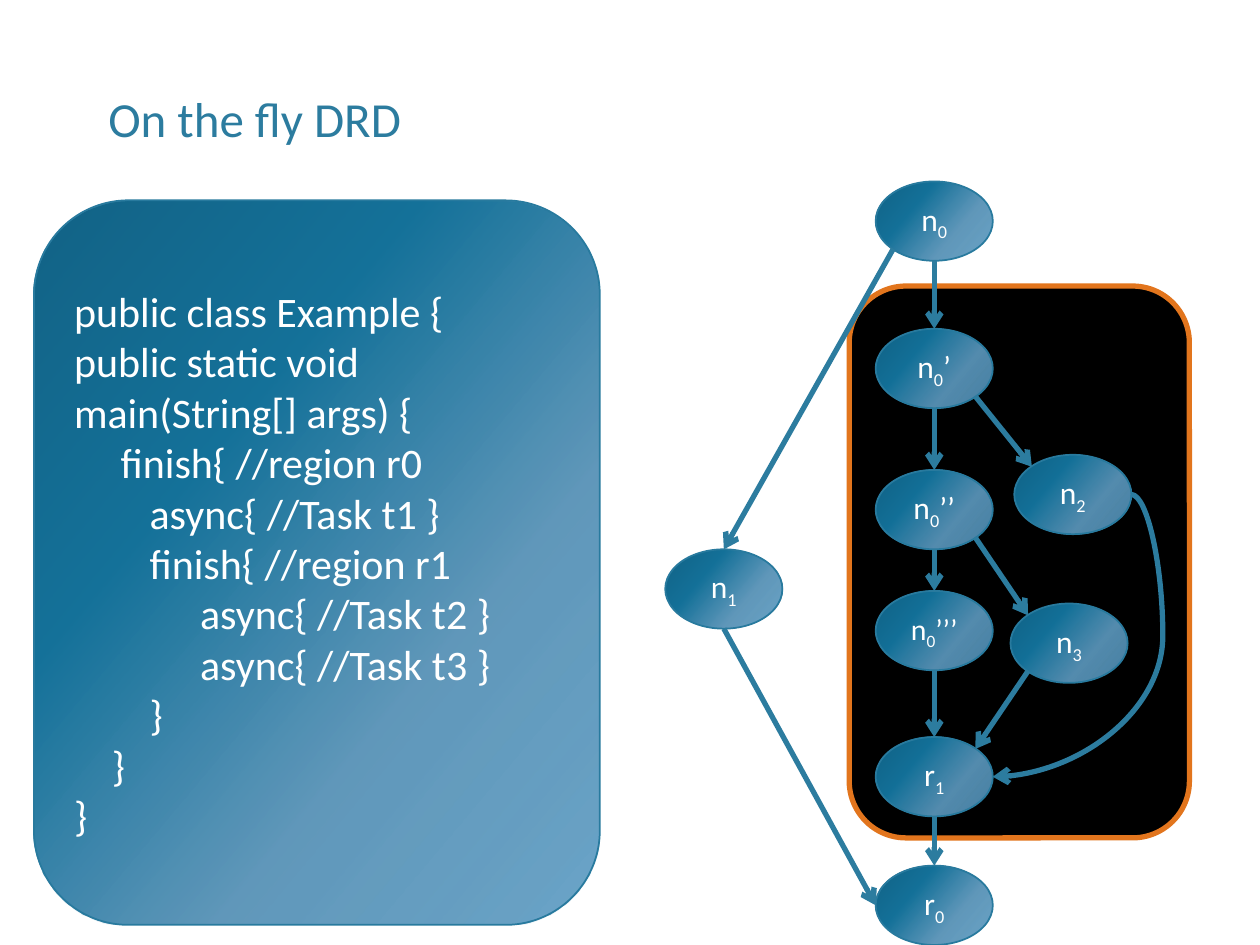
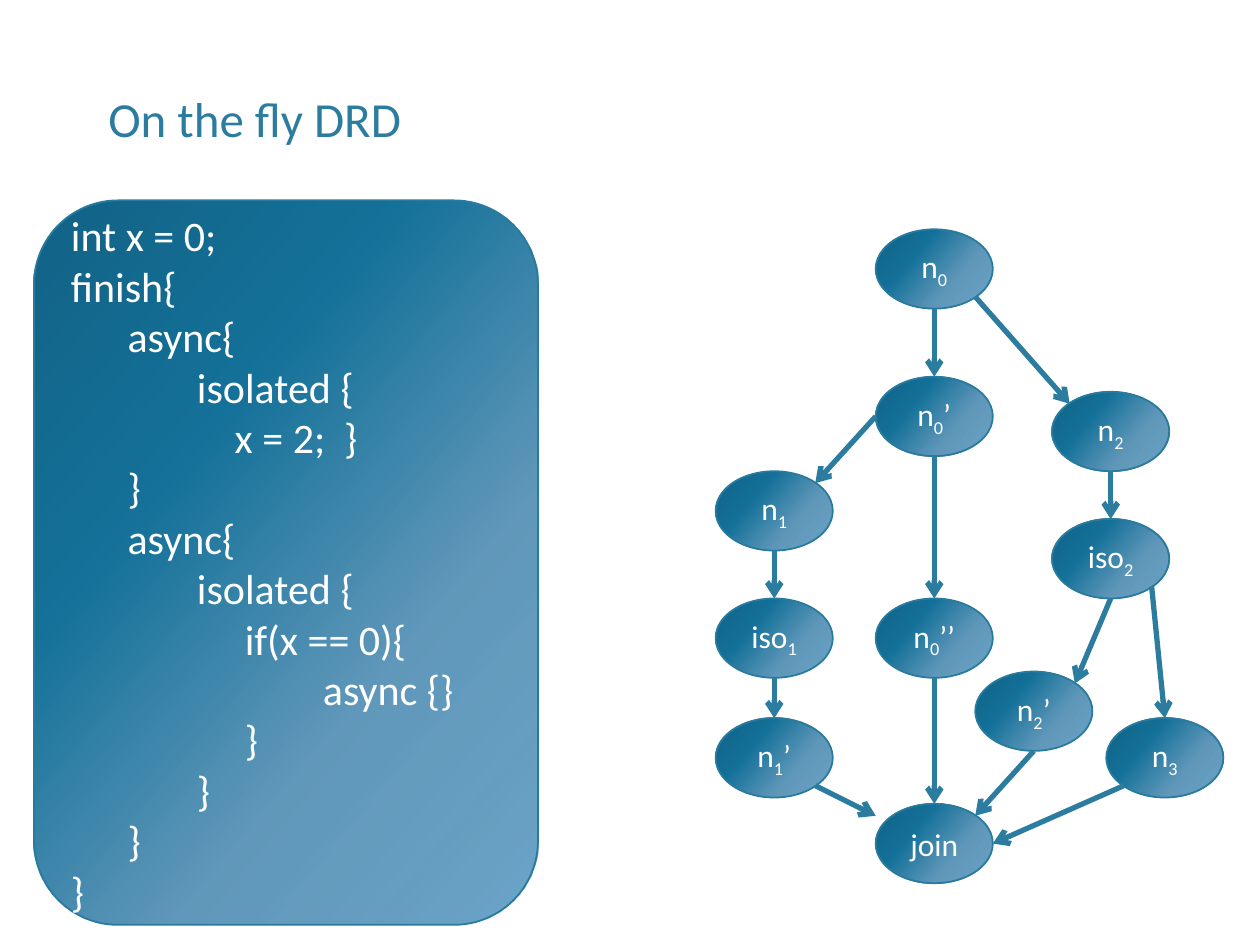
import lxml.etree
import pptx
import pptx.dml.color
import pptx.enum.shapes
import pptx.enum.text
import pptx.oxml.ns
import pptx.util

Inches, Pt = pptx.util.Inches, pptx.util.Pt
RGB = pptx.dml.color.RGBColor.from_string
qn = pptx.oxml.ns.qn
SHAPE = pptx.enum.shapes.MSO_SHAPE
CONNECTOR = pptx.enum.shapes.MSO_CONNECTOR
ALIGN = pptx.enum.text.PP_ALIGN
ANCHOR = pptx.enum.text.MSO_ANCHOR

COLORS = {"accent": "2C7C9F", "outline": "287A9E", "text": "FFFFFF",
          "region": "000000", "region_line": "E2751D"}
# position %, colour, opacity %
GRADIENT = [(0, "5295BE", 85), (33, "5993B7", 95), (67, "147199", 100), (100, "126285", 100)]
FONT = "Calibri"
NODE_W, NODE_H = 0.93, 0.63

# Where arrows touch a node, as fractions of its width and height
SITES = {"top": (0.5, 0), "bottom": (0.5, 1), "left": (0, 0.5), "right": (1, 0.5),
         "tl": (0.15, 0.15), "tr": (0.85, 0.15), "bl": (0.15, 0.85), "br": (0.85, 0.85),
         "edge": (0, 0.15)}

# code: (indent, line); nodes: name -> (left, top, base, subscript, primes)
SLIDES = [
    {
        "code_width": 4.49,
        "code": [
            (0, "public class Example {"),
            (0, "public static void main(String[] args) {"),
            (0.37, "finish{ //region r0"),
            (0.6, "async{ //Task t1 }"),
            (0.6, "finish{ //region r1"),
            (1, "async{ //Task t2 }"),
            (1, "async{ //Task t3 }"),
            (0.6, "}"),
            (0.3, "}"),
            (0, "}"),
        ],
        "region": (6.74, 2.27, 2.7, 4.38),
        "nodes": {
            "n0": (6.95, 1.44, "n", "0", ""),
            "n0'": (6.95, 2.61, "n", "0", "’"),
            "n1": (5.28, 4.36, "n", "1", ""),
            "r0": (6.95, 6.87, "r", "0", ""),
            "n0''": (6.95, 3.73, "n", "0", "’’"),
            "n2": (8.05, 3.61, "n", "2", ""),
            "n3": (8.02, 4.79, "n", "3", ""),
            "r1": (6.95, 5.85, "r", "1", ""),
            "n0'''": (6.95, 4.69, "n", "0", "’’’"),
        },
        "arrows": [
            ("n0", "bottom", "n0'", "top"),
            ("n0", "bl", "n1", "top"),
            ("n1", "bottom", "r0", "left"),
            ("n0'", "bottom", "n0''", "top"),
            ("n0'", "br", "n2", "tl"),
            ("n0''", "bottom", "n0'''", "top"),
            ("n0''", "br", "n3", "tl"),
            ("n0'''", "bottom", "r1", "top"),
            ("n3", "bl", "r1", "tr"),
            ("r1", "bottom", "r0", "top"),
            ("n2", "right", "r1", "right"),
        ],
    },
    {
        "code_width": 4,
        "code": [
            (0, "int x = 0;"),
            (0, "finish{"),
            (0.45, "async{"),
            (1, "isolated {"),
            (1.3, "x = 2;  }"),
            (0.45, "}"),
            (0.45, "async{"),
            (1, "isolated {"),
            (1.38, "if(x == 0){"),
            (2, "async {}"),
            (1.38, "}"),
            (1, "}"),
            (0.45, "}"),
            (0, "}"),
        ],
        "region": None,
        "nodes": {
            "n0": (6.95, 1.82, "n", "0", ""),
            "n0'": (6.95, 2.99, "n", "0", "’"),
            "n0''": (6.95, 4.75, "n", "0", "’’"),
            "join": (6.95, 6.38, "join", "", ""),
            "n1": (5.68, 3.74, "n", "1", ""),
            "iso1": (5.68, 4.75, "iso", "1", ""),
            "n1'": (5.68, 5.7, "n", "1", "’"),
            "n2": (8.35, 3.11, "n", "2", ""),
            "iso2": (8.35, 4.12, "iso", "2", ""),
            "n2'": (7.74, 5.33, "n", "2", "’"),
            "n3": (8.78, 5.7, "n", "3", ""),
        },
        "arrows": [
            ("n0", "bottom", "n0'", "top"),
            ("n0", "br", "n2", "tl"),
            ("n0'", "bottom", "n0''", "top"),
            ("n0'", "left", "n1", "tr"),
            ("n0''", "bottom", "join", "top"),
            ("n1", "bottom", "iso1", "top"),
            ("iso1", "bottom", "n1'", "top"),
            ("n1'", "br", "join", "edge"),
            ("n2", "bottom", "iso2", "top"),
            ("iso2", "bottom", "n2'", "tr"),
            ("iso2", "br", "n3", "top"),
            ("n2'", "bottom", "join", "tr"),
            ("n3", "bl", "join", "right"),
        ],
    },
]


def add_gradient_shape(slide, kind, left, top, width, height):
    s = slide.shapes.add_shape(kind, Inches(left), Inches(top), Inches(width), Inches(height))
    s.shadow.inherit = False
    s.line.color.rgb = RGB(COLORS["outline"])
    s.line.width = Pt(1)
    s.fill.gradient()
    s.fill.gradient_angle = 140
    stops = s._element.spPr.find(".//" + qn("a:gsLst"))
    for stop in list(stops):
        stops.remove(stop)
    for position, color, opacity in GRADIENT:
        stop = lxml.etree.SubElement(stops, qn("a:gs"), pos=str(position * 1000))
        clr = lxml.etree.SubElement(stop, qn("a:srgbClr"), val=color)
        if opacity < 100:
            lxml.etree.SubElement(clr, qn("a:alpha"), val=str(opacity * 1000))
    s.text_frame.vertical_anchor = ANCHOR.MIDDLE
    return s


def style_font(p, size, color):
    p.font.name = FONT
    p.font.size = Pt(size)
    p.font.color.rgb = RGB(COLORS[color])


prs = pptx.Presentation()
prs.slide_width, prs.slide_height = Inches(10), Inches(7.5)

for content in SLIDES:
    slide = prs.slides.add_slide(prs.slide_layouts[6])

    # Title
    tf = slide.shapes.add_textbox(Inches(0.81), Inches(0.25), Inches(5.25), Inches(0.97)).text_frame
    tf.word_wrap = True
    tf.vertical_anchor = ANCHOR.BOTTOM
    tf.margin_left = Inches(0.05)
    p = tf.paragraphs[0]
    p.text = "On the fly DRD"
    style_font(p, 28, "accent")

    # Code panel
    tf = add_gradient_shape(slide, SHAPE.ROUNDED_RECTANGLE,
                            0.27, 1.59, content["code_width"], 5.75).text_frame
    tf.word_wrap = True
    for i, (indent, line) in enumerate(content["code"]):
        p = tf.add_paragraph() if i else tf.paragraphs[0]
        p.text = line
        p.alignment = ALIGN.LEFT
        p._p.get_or_add_pPr().set("marL", str(Inches(indent)))
        style_font(p, 24, "text")

    # Region behind the graph
    if content["region"]:
        s = slide.shapes.add_shape(SHAPE.ROUNDED_RECTANGLE, *map(Inches, content["region"]))
        s.shadow.inherit = False
        s.fill.solid()
        s.fill.fore_color.rgb = RGB(COLORS["region"])
        s.line.color.rgb = RGB(COLORS["region_line"])
        s.line.width = Pt(3)

    # Graph nodes
    for left, top, base, subscript, primes in content["nodes"].values():
        s = add_gradient_shape(slide, SHAPE.OVAL, left, top, NODE_W, NODE_H)
        p = s.text_frame.paragraphs[0]
        p.alignment = ALIGN.CENTER
        style_font(p, 17 if len(primes) == 3 else 18, "text")
        for text, baseline in ((base, 0), (subscript, -25000), (primes, 0)):
            if text:
                r = p.add_run()
                r.text = text
                if baseline:
                    r.font._element.set("baseline", str(baseline))

    # Graph arrows; one that leaves and enters on the right bends outwards
    for source, source_site, target, target_site in content["arrows"]:
        ends = []
        for node, site in ((source, source_site), (target, target_site)):
            left, top = content["nodes"][node][:2]
            fx, fy = SITES[site]
            ends += [Inches(left + fx * NODE_W), Inches(top + fy * NODE_H)]
        curved = source_site == target_site == "right"
        c = slide.shapes.add_connector(CONNECTOR.CURVE if curved else CONNECTOR.STRAIGHT, *ends)
        c.line.color.rgb = RGB(COLORS["accent"])
        c.line.width = Pt(3)
        spPr = c._element.spPr
        lxml.etree.SubElement(spPr.find(qn("a:ln")), qn("a:tailEnd"), type="arrow")
        lxml.etree.SubElement(spPr, qn("a:effectLst"))
        if curved:
            lxml.etree.SubElement(spPr.find(".//" + qn("a:avLst")), qn("a:gd"),
                                  name="adj1", fmla="val -22700")

prs.save("out.pptx")
